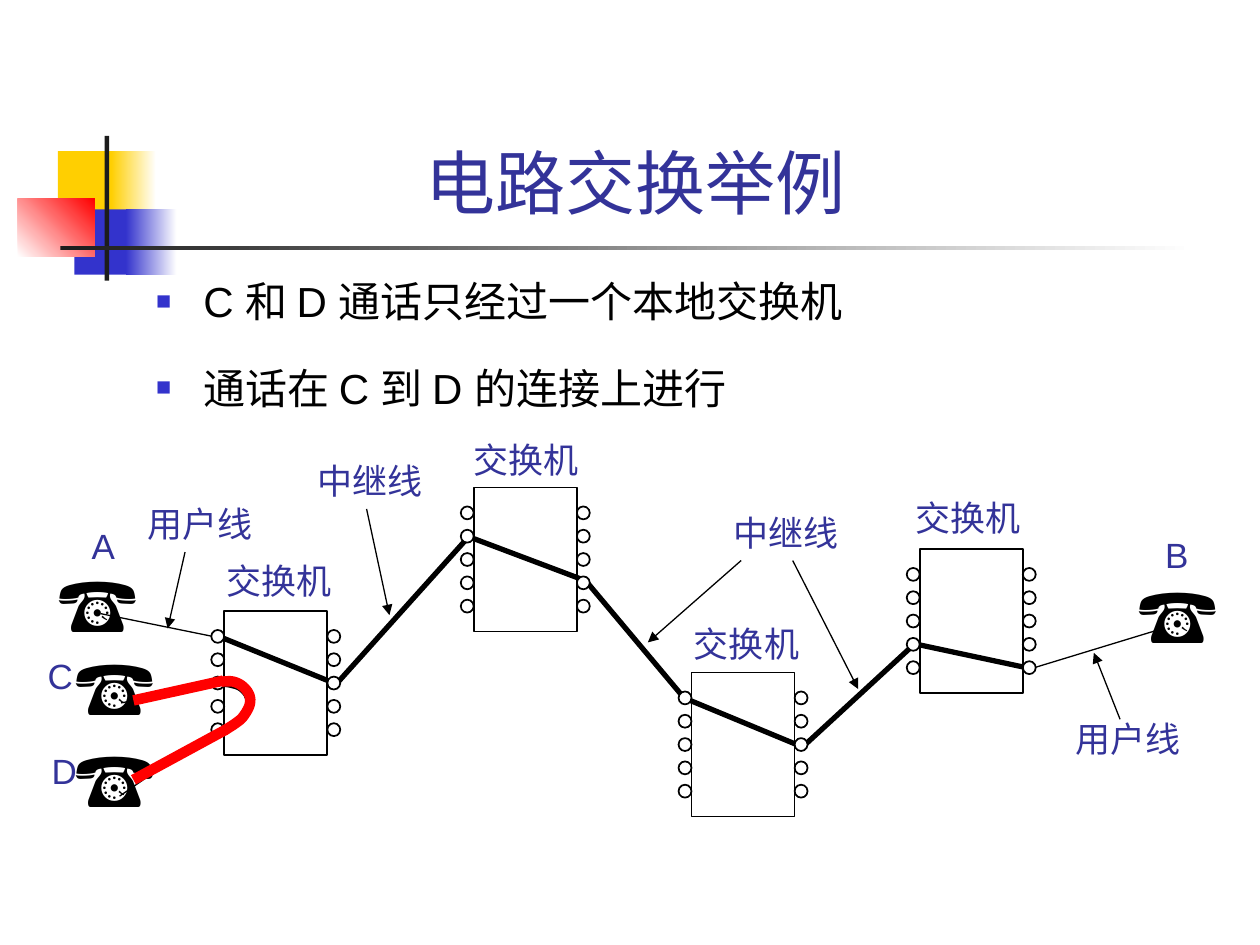
from lxml.etree import SubElement
from pptx import Presentation
from pptx.dml.color import RGBColor
from pptx.enum.shapes import MSO_CONNECTOR, MSO_SHAPE
from pptx.enum.text import MSO_ANCHOR, PP_ALIGN
from pptx.oxml.ns import qn
from pptx.util import Cm, Pt

BLACK = RGBColor(0x00, 0x00, 0x00)
WHITE = RGBColor(0xFF, 0xFF, 0xFF)
RED = RGBColor(0xFF, 0x00, 0x00)
YELLOW = RGBColor(0xFF, 0xCF, 0x01)
BLUE = RGBColor(0x33, 0x33, 0xCC)
NAVY = RGBColor(0x33, 0x33, 0x99)
CHARCOAL = RGBColor(0x1C, 0x1C, 0x1C)

# Content; all positions are in centimetres
TITLE = "电路交换举例"
BULLETS = ["C 和 D 通话只经过一个本地交换机", "通话在 C 到 D 的连接上进行"]

# left, top, width, height, first colour, last colour, gradient angle
DECORATION = [
    (1.17, 3.05, 1.22, 1.32, YELLOW, None, 0),
    (2.24, 3.05, 0.91, 1.32, YELLOW, WHITE, 0),
    (1.5, 4.22, 1.17, 1.32, BLUE, None, 0),
    (2.54, 4.22, 1.02, 1.32, BLUE, WHITE, 0),
    (0.36, 4.01, 1.55, 1.17, WHITE, RED, 45),
    (2.11, 2.74, 0.09, 2.92, CHARCOAL, None, 0),
    (1.22, 4.95, 22.86, 0.09, CHARCOAL, WHITE, 0),
]

SWITCHES = [(4.52, 12.32), (9.55, 9.83), (13.94, 13.56), (18.54, 11.07)]
SWITCH_WIDTH, SWITCH_HEIGHT = 2.08, 2.9
PORT_SIZE, PORT_COUNT, PORT_OFFSET, PORT_STEP = 0.26, 5, 0.38, 0.47

PHONES = [(0.94, 11.07), (22.71, 11.3), (1.27, 12.75), (1.27, 14.61)]
LABELS = [
    ("交换机", 4.32, 11.15), ("交换机", 9.3, 8.71),
    ("交换机", 13.74, 12.42), ("交换机", 18.21, 9.88),
    ("用户线", 2.72, 10.01), ("用户线", 21.44, 14.33),
    ("中继线", 14.53, 10.19), ("中继线", 6.15, 9.14),
]
STATIONS = [("B", 23.24, 10.64), ("D", 0.79, 14.99),
            ("C", 0.71, 13.06), ("A", 1.6, 10.44)]

SUBSCRIBER_LINES = [
    ((2.41, 16.05), (4.39, 14.68)), ((2.44, 14.17), (4.42, 13.79)),
    ((20.75, 13.49), (23.34, 12.7)), ((2.03, 12.37), (4.39, 12.85)),
]
POINTERS = [
    ((3.73, 11.13), (3.38, 12.67)), ((22.58, 14.5), (22.05, 13.16)),
    ((14.94, 11.3), (13.06, 12.95)), ((15.98, 11.3), (17.3, 13.89)),
    ((7.39, 10.26), (7.85, 12.4)),
]
CIRCUIT_A_B = [
    (4.34, 12.8), (6.78, 13.79), (9.45, 10.82), (11.81, 11.71), (13.79, 14.07),
    (16.18, 15.06), (18.44, 12.98), (20.83, 13.49), (20.78, 13.44),
]
LOOP_C_D = [(4.47, 13.79), (4.67, 13.82), (4.85, 13.89), (4.98, 14.05),
            (5, 14.27), (4.88, 14.5), (4.65, 14.63), (4.42, 14.68)]
ACTIVE_LOOP = [(4.47, 13.74), (4.7, 13.74), (4.9, 13.84), (5.03, 14.02),
               (5.03, 14.22), (4.9, 14.45), (4.75, 14.58), (4.52, 14.73)]
ACTIVE_LINES = [((2.69, 14.12), (4.5, 13.72)), ((2.69, 15.72), (4.55, 14.71))]


def add_block(shapes, kind, left, top, width, height):
    shape = shapes.add_shape(kind, Cm(left), Cm(top), Cm(width), Cm(height))
    shape.shadow.inherit = False
    return shape


def add_outlined(shapes, kind, left, top, width, height, fill=None):
    shape = add_block(shapes, kind, left, top, width, height)
    if fill is None:
        shape.fill.background()
    else:
        shape.fill.solid()
        shape.fill.fore_color.rgb = fill
    shape.line.color.rgb = BLACK
    shape.line.width = Pt(1)


def add_line(shapes, start, end, color=BLACK, width=0.75, arrow=False):
    connector = shapes.add_connector(
        MSO_CONNECTOR.STRAIGHT, *(Cm(value) for value in start + end))
    connector.line.color.rgb = color
    connector.line.width = Pt(width)
    properties = connector.element.spPr
    if arrow:
        SubElement(properties.find(qn("a:ln")), qn("a:tailEnd"), type="triangle")
    SubElement(properties, qn("a:effectLst"))


def add_polyline(shapes, points, color=BLACK, width=3):
    corners = [(Cm(x), Cm(y)) for x, y in points]
    builder = shapes.build_freeform(*corners[0])
    builder.add_line_segments(corners[1:], close=False)
    shape = builder.convert_to_shape()
    shape.shadow.inherit = False
    shape.fill.background()
    shape.line.color.rgb = color
    shape.line.width = Pt(width)


def smooth(knots, steps=5):
    """Points of a Catmull-Rom curve through the knots."""
    padded = [knots[0], *knots, knots[-1]]
    points = [knots[0]]
    for a, b, c, d in zip(padded, padded[1:], padded[2:], padded[3:]):
        for step in range(1, steps + 1):
            t = step / steps
            points.append(tuple(
                (2 * q + (r - p) * t + (2 * p - 5 * q + 4 * r - s) * t ** 2
                 + (3 * q - p - 3 * r + s) * t ** 3) / 2
                for p, q, r, s in zip(a, b, c, d)))
    return points


def add_text(shapes, lines, left, top, width, height, size, color,
             font="Arial", wrap=False):
    box = shapes.add_textbox(Cm(left), Cm(top), Cm(width), Cm(height))
    frame = box.text_frame
    frame.word_wrap = wrap
    frame.text = "\n".join(lines)
    for paragraph in frame.paragraphs:
        paragraph.font.size = Pt(size)
        paragraph.font.name = font
        paragraph.font.color.rgb = color
    return frame


def add_bullet(paragraph):
    properties = paragraph._p.get_or_add_pPr()
    properties.set("marL", str(Cm(0.95)))
    properties.set("indent", str(-Cm(0.95)))
    color = SubElement(properties, qn("a:buClr"))
    SubElement(color, qn("a:srgbClr"), val=str(BLUE))
    SubElement(properties, qn("a:buSzPct"), val="60000")
    SubElement(properties, qn("a:buFont"), typeface="Arial")
    SubElement(properties, qn("a:buChar"), char="■")


presentation = Presentation()
presentation.slide_width, presentation.slide_height = Cm(25.4), Cm(19.05)
slide = presentation.slides.add_slide(presentation.slide_layouts[6])
shapes = slide.shapes

# Decoration beside the title
for left, top, width, height, first, last, angle in DECORATION:
    shape = add_block(shapes, MSO_SHAPE.RECTANGLE, left, top, width, height)
    shape.line.fill.background()
    if last is None:
        shape.fill.solid()
        shape.fill.fore_color.rgb = first
    else:
        shape.fill.gradient()
        shape.fill.gradient_angle = angle
        for stop, color in zip(shape.fill.gradient_stops, (first, last)):
            stop.color.rgb = color

# Title and bullets
title = add_text(shapes, [TITLE], 3.2, 0.58, 19.23, 4.06, 40, NAVY, wrap=True)
title.vertical_anchor = MSO_ANCHOR.BOTTOM
title.paragraphs[0].alignment = PP_ALIGN.CENTER

body = add_text(shapes, [], 2.9, 4.93, 21.59, 11.43, 24, BLACK, wrap=True)
for index, text in enumerate(BULLETS):
    paragraph = body.add_paragraph() if index else body.paragraphs[0]
    paragraph.text = text
    add_bullet(paragraph)
    paragraph.line_spacing = 1.5
    paragraph.space_before = Pt(6 if index else 0)
    paragraph.font.size = Pt(24)
    paragraph.font.name = "Arial"
    paragraph.font.color.rgb = BLACK

# Lines and circuits
add_polyline(shapes, smooth(LOOP_C_D))
for start, end in SUBSCRIBER_LINES:
    add_line(shapes, start, end)
add_polyline(shapes, CIRCUIT_A_B)

# Switches with a column of ports on both sides
for left, top in SWITCHES:
    add_outlined(shapes, MSO_SHAPE.RECTANGLE, left, top, SWITCH_WIDTH, SWITCH_HEIGHT)
    for port_left in (left - PORT_SIZE, left + SWITCH_WIDTH):
        for row in range(PORT_COUNT):
            add_outlined(shapes, MSO_SHAPE.OVAL, port_left,
                         top + PORT_OFFSET + row * PORT_STEP,
                         PORT_SIZE, PORT_SIZE, WHITE)

# Pointers, telephones and labels
for start, end in POINTERS:
    add_line(shapes, start, end, arrow=True)
for left, top in PHONES:
    add_text(shapes, ["☎"], left, top, 2.13, 2.13, 44, BLACK)
for text, left, top in LABELS:
    add_text(shapes, [text], left, top, 2.62, 1.12, 20, NAVY, "Times New Roman")
for text, left, top in STATIONS:
    add_text(shapes, [text], left, top, 1, 1.12, 20, NAVY)

# Active connection between C and D
connection = shapes.add_group_shape().shapes
add_polyline(connection, smooth(ACTIVE_LOOP), RED, 6)
for start, end in ACTIVE_LINES:
    add_line(connection, start, end, RED, 6)

presentation.save("out.pptx")
